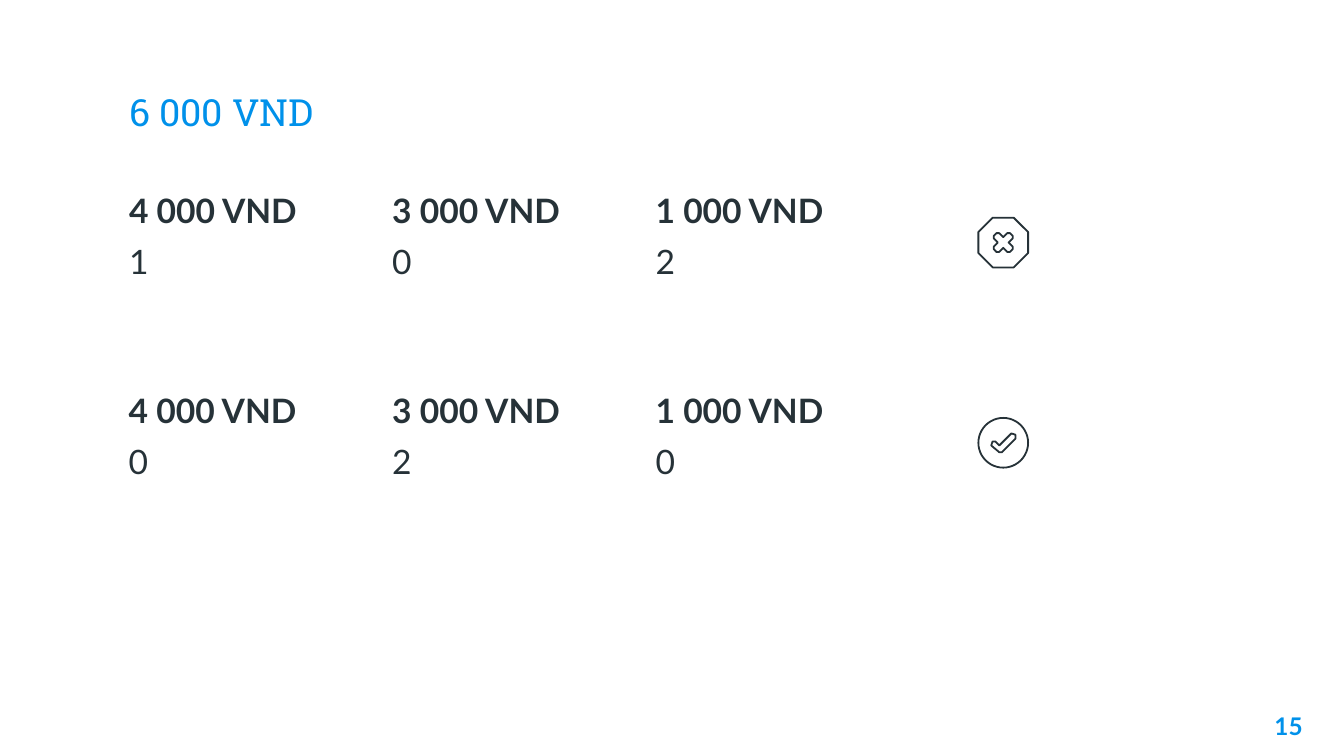
from pptx import Presentation
from pptx.dml.color import RGBColor
from pptx.enum.shapes import MSO_SHAPE as Shape
from pptx.enum.text import MSO_ANCHOR as Anchor, MSO_AUTO_SIZE as Fit, PP_ALIGN as Align
from pptx.util import Inches, Pt
from lxml.etree import SubElement
from pptx.oxml.ns import qn

INK = {"blue": "0091EA", "dark": "263238"}
COINS = ("4 000 VND", "3 000 VND", "1 000 VND")
ARM = [(0, -0.04), (0.03, -0.07), (0.05, -0.07), (0.07, -0.05), (0.07, -0.03)]
TICK = [(-0.03, 0.07), (-0.01, 0.07), (0.09, -0.03), (0.09, -0.06), (0.06, -0.07),
        (-0.03, 0.02), (-0.06, -0.01), (-0.08, -0.01), (-0.09, 0.02)]


def place(shape, box):
    """Move a shape to a box given in inches."""
    shape.left, shape.top, shape.width, shape.height = map(Inches, box)


def write(shape, lines, size, face, color, anchor=Anchor.TOP, align=Align.LEFT):
    """Fill a text shape with (text, bold) lines."""
    frame = shape.text_frame
    frame.word_wrap, frame.auto_size = True, Fit.NONE
    frame.vertical_anchor = anchor
    frame.margin_left = frame.margin_right = Inches(0.1)
    frame.margin_top = frame.margin_bottom = Inches(0.1)
    frame.text = "\n".join(text for text, bold in lines)
    for i, (para, (text, bold)) in enumerate(zip(frame.paragraphs, lines)):
        props = para._p.get_or_add_pPr()
        props.set("marL", "0")
        props.set("indent", "0")
        SubElement(props, qn("a:buNone"))
        para.alignment = align
        para.space_before = Pt(6 if i else 0)
        font = para.font
        font.name, font.size, font.bold = face, Pt(size), bold
        font.color.rgb = RGBColor.from_string(INK[color])


def outline(shape):
    """Give a shape a thin dark line and no fill."""
    shape.shadow.inherit = False
    shape.fill.background()
    shape.line.color.rgb = RGBColor.from_string(INK["dark"])
    shape.line.width = Pt(0.96)


def trace(slide, points, x, y):
    """Draw a closed outline around a centre."""
    spots = [(Inches(x + dx), Inches(y + dy)) for dx, dy in points]
    pen = slide.shapes.build_freeform(*spots[0])
    pen.add_line_segments(spots[1:], close=True)
    outline(pen.convert_to_shape())


def mark(slide, box, good):
    """Draw a tick in a circle or a cross in an octagon."""
    left, top, wide, high = box
    rim = slide.shapes.add_shape(Shape.OVAL if good else Shape.OCTAGON, *map(Inches, box))
    outline(rim)
    points = TICK
    if not good:
        rim.adjustments[0] = 0.29
        points, turn = [], ARM
        for _ in range(4):
            points = points + turn
            turn = [(-y, x) for x, y in turn]
    trace(slide, points, left + wide / 2, top + high / 2)


def change(slide, box, counts, good, body=None):
    """Set one row of coin counts with its verdict mark."""
    left, top, wide, high = box
    for i, (coin, count) in enumerate(zip(COINS, counts)):
        cell = body if body and i == 0 else slide.shapes.add_textbox(0, 0, 0, 0)
        place(cell, (left + i * wide, top, wide, high))
        write(cell, [(coin, True), (str(count), False)], 18, "Lato", "dark")
    mark(slide, (left + 6.42, top + 0.31, 0.37, 0.37), good)


def main():
    """Build the slide and save it."""
    deck = Presentation()
    deck.slide_width = Inches(10)
    deck.slide_height = deck.slide_width * 9 // 16
    slide = deck.slides.add_slide(deck.slide_layouts[1])
    title, body = slide.placeholders
    place(title, (0.86, 0.34, 8.28, 0.76))
    write(title, [("6 000 VND", False)], 20, "Roboto Slab", "blue", Anchor.BOTTOM)
    change(slide, (0.86, 1.31, 1.96, 0.99), (1, 0, 2), False, body)
    change(slide, (0.86, 2.8, 1.96, 0.99), (0, 2, 0), True)
    page = slide.shapes.add_textbox(0, 0, 0, 0)
    place(page, (9.19, 5.19, 0.6, 0.43))
    write(page, [("15", True)], 13, "Lato", "blue", align=Align.RIGHT)
    deck.save("out.pptx")


if __name__ == "__main__":
    main()
